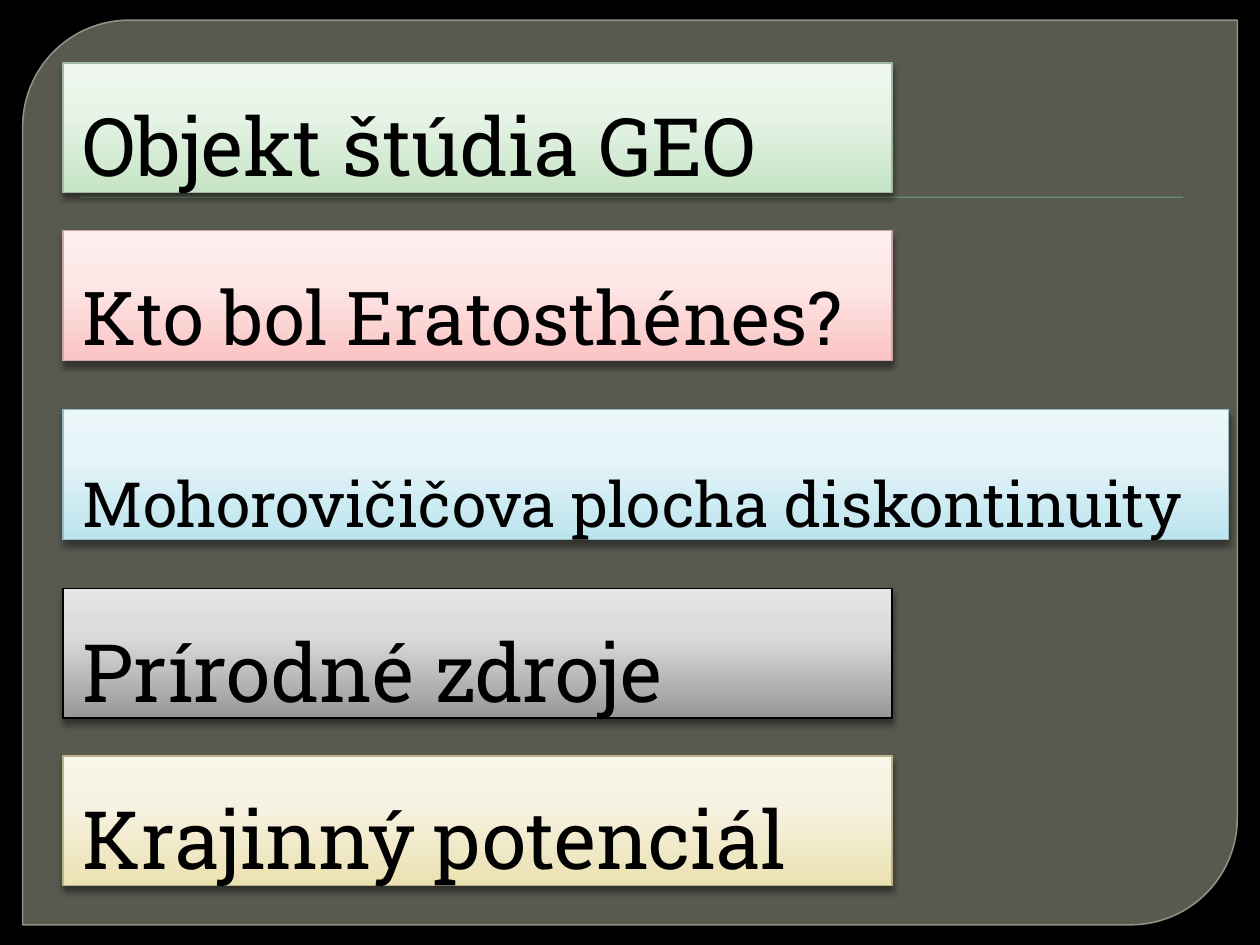
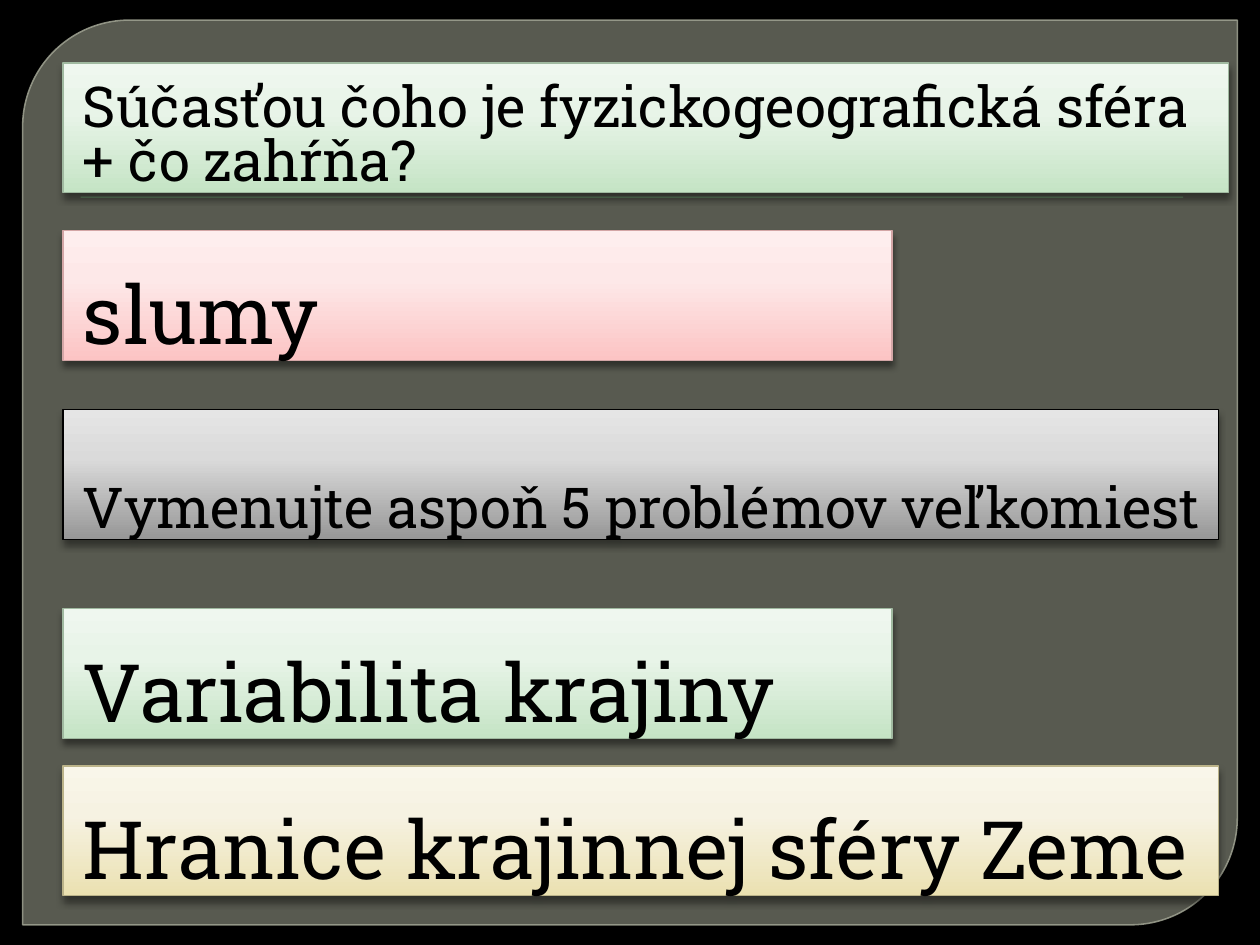
"""Build two quiz slides of shaded question bars on a shared frame."""
from lxml import etree
from pptx import Presentation
from pptx.dml.color import RGBColor
from pptx.enum import shapes, text
from pptx.oxml import ns
from pptx.util import Inches, Pt

FONT = "Roboto Slab"
BLACK = RGBColor(0, 0, 0)
PANEL = RGBColor(0x88, 0x8B, 0x7B)
EDGE = RGBColor(0x9D, 0xA0, 0x90)
RULE = RGBColor(0x72, 0xA3, 0x76)

# Shades from bottom to top, then the border
GREEN = ("C5E4C5", "E8F4E8", "EFF7EF", RGBColor(0xA0, 0xB9, 0xA0))
PINK = ("FCC4C4", "FDE8E8", "FEEEEE", RGBColor(0xD3, 0xA6, 0xA6))
BLUE = ("BCE4EF", "E5F4F8", "ECF7FA", RGBColor(0x98, 0xBA, 0xC3))
GREY = ("979797", "DADADA", "E5E5E5", BLACK)
SAND = ("EBE1B1", "F6F2E2", "F9F6EA", RGBColor(0xBB, 0xB3, 0x89))
STOPS = (0, 62, 100)

LEFT, HIGH = 0.5, 1.03
SHORT, LONG, FULL = 6.58, 9.17, 9.25

# Text, top, width, shades, type size, line spacing
SLIDES = [
    [
        ("Objekt štúdia GEO", 0.5, SHORT, GREEN, 46, None),
        ("Kto bol Eratosthénes?", 1.83, SHORT, PINK, 42.5, None),
        ("Mohorovičičova plocha diskontinuity", 3.25, FULL, BLUE, 35.6, 0.8),
        ("Prírodné zdroje", 4.67, SHORT, GREY, 46, None),
        ("Krajinný potenciál", 6, SHORT, SAND, 46, None),
    ],
    [
        ("Súčasťou čoho je fyzickogeografická sféra + čo zahŕňa?",
         0.5, FULL, GREEN, 32.2, 0.8),
        ("slumy", 1.83, SHORT, PINK, 46, None),
        ("Vymenujte aspoň 5 problémov veľkomiest", 3.25, LONG, GREY, 32.2, 0.8),
        ("Variabilita krajiny", 4.83, SHORT, GREEN, 46, None),
        ("Hranice krajinnej sféry Zeme", 6.08, LONG, SAND, 46, None),
    ],
]


def add(parent, tag, **attrs):
    """Append a drawing element with the given attributes."""
    node = etree.SubElement(parent, ns.qn("a:" + tag))
    for key, val in attrs.items():
        node.set(key, str(val))
    return node


def color(parent, code, alpha=None):
    """Append an RGB colour, with an opacity in percent if given."""
    node = add(parent, "srgbClr", val=code)
    if alpha:
        add(node, "alpha", val=alpha * 1000)


def fade(fill, alpha):
    """Set the opacity of the solid fill held by an element."""
    add(fill.find(".//" + ns.qn("a:srgbClr")), "alpha", val=alpha * 1000)


def box(slide, kind, left, top, wide, high):
    """Add a preset shape without a shadow."""
    shape = slide.shapes.add_shape(
        kind, Inches(left), Inches(top), Inches(wide), Inches(high))
    shape.shadow.inherit = False
    return shape


def shade(shape, alpha, blur, dist):
    """Give a shape a shadow that falls straight down."""
    effects = shape._element.spPr.find(ns.qn("a:effectLst"))
    drop = add(effects, "outerShdw", blurRad=Pt(blur), dist=Pt(dist),
               dir=5400000, algn="ctr", rotWithShape=0)
    color(drop, "000000", alpha)


def blend(shape, codes):
    """Fill a shape with a gradient rising from its bottom edge."""
    shape.fill.gradient()
    shape.fill.gradient_angle = 90
    stops = shape._element.spPr.find(".//" + ns.qn("a:gsLst"))
    for old in list(stops):
        stops.remove(old)
    for pos, code in zip(STOPS, codes):
        color(add(stops, "gs", pos=pos * 1000), code)


def write(shape, words, size=46, space=None, ink=BLACK):
    """Set the text of a shape, left-aligned at the bottom."""
    frame = shape.text_frame
    frame.word_wrap = True
    frame.vertical_anchor = text.MSO_ANCHOR.BOTTOM
    frame.margin_bottom = 0
    para = frame.paragraphs[0]
    para.alignment = text.PP_ALIGN.LEFT
    para._p.get_or_add_pPr().set("marL", str(Inches(0.06)))
    if space:
        para.line_spacing = space
    run = para.add_run()
    run.text = words
    run.font.name = FONT
    run.font.size = Pt(size)
    run.font.color.rgb = ink


def base(deck):
    """Add a slide with the shared ground, panel and rule."""
    slide = deck.slides.add_slide(deck.slide_layouts[6])
    ground = slide.background.fill
    ground.solid()
    ground.fore_color.rgb = BLACK

    panel = box(slide, shapes.MSO_SHAPE.ROUND_2_DIAG_RECTANGLE,
                0.18, 0.16, 9.64, 7.18)
    panel.adjustments[0] = 0.118
    panel.adjustments[1] = 0
    panel.fill.solid()
    panel.fill.fore_color.rgb = PANEL
    fade(panel._element.spPr.find(ns.qn("a:solidFill")), 65)
    panel.line.color.rgb = EDGE
    panel.line.width = Pt(0.87)
    fade(panel._element.spPr.find(ns.qn("a:ln")), 88)

    rule = box(slide, shapes.MSO_SHAPE.RECTANGLE, 0.64, 1.56, 8.75, 0.01)
    rule.fill.solid()
    rule.fill.fore_color.rgb = RULE
    rule.line.fill.background()
    shade(rule, 75, 1, 1)
    return slide


def main():
    """Build and save the deck."""
    deck = Presentation()
    deck.slide_width, deck.slide_height = Inches(10), Inches(7.5)
    for bars in SLIDES:
        slide = base(deck)
        for words, top, wide, (*codes, edge), size, space in bars:
            bar = box(slide, shapes.MSO_SHAPE.RECTANGLE, LEFT, top, wide, HIGH)
            blend(bar, codes)
            bar.line.color.rgb = edge
            bar.line.width = Pt(0.75)
            shade(bar, 43, 4, 3)
            write(bar, words, size=size, space=space)
    deck.save("out.pptx")


if __name__ == "__main__":
    main()
